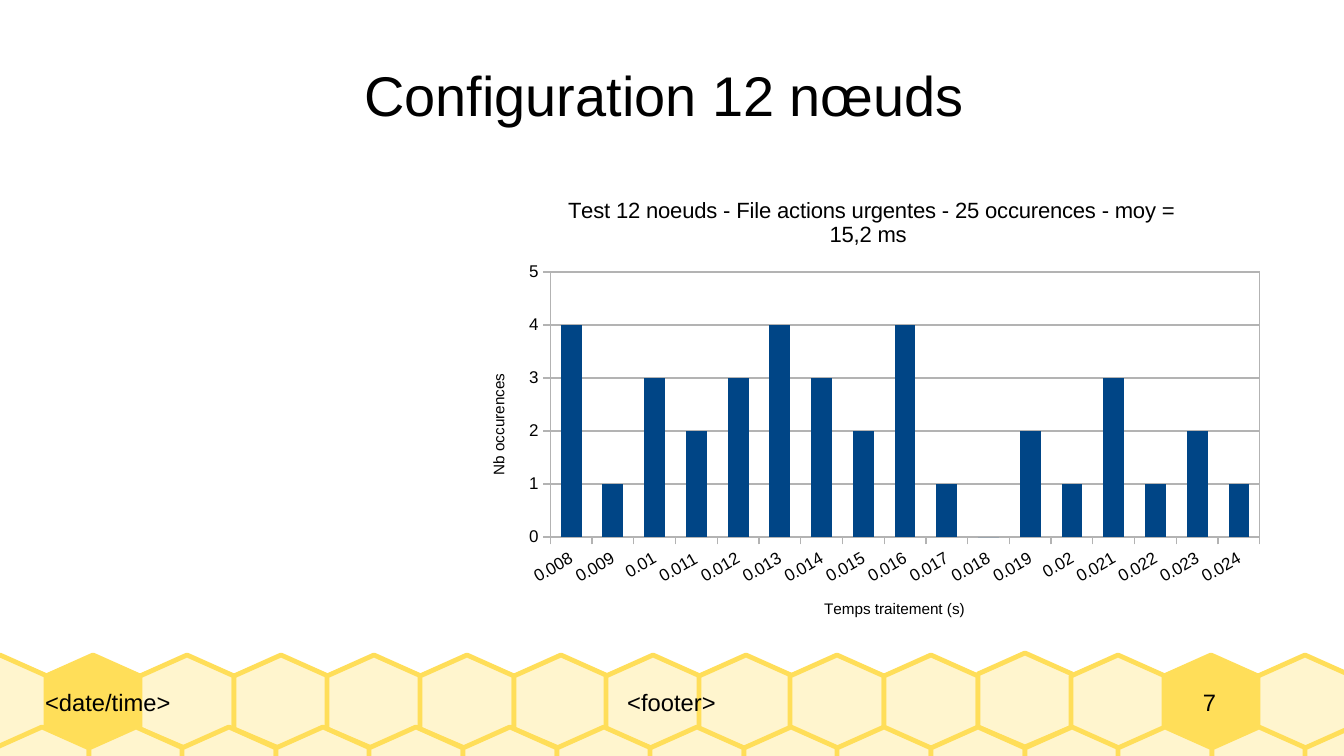
from lxml import etree
from pptx import Presentation, util as u
from pptx.chart.data import CategoryChartData
from pptx.dml.color import RGBColor
from pptx.enum import chart as ch, text
from pptx.oxml import parse_xml

PX = 914400 // 122
COL = {"ink": "000000", "white": "FFFFFF", "grid": "B3B3B3",
       "bar": "004586", "gold": "FFDE59", "cream": "FFF5CE"}
FONT = "Arial"


def rgb(name):
    return RGBColor.from_string(COL[name])


def write(frame, words, size, align=None):
    para = frame.paragraphs[0]
    para.alignment = align
    run = para.add_run()
    run.text = words
    run.font.name, run.font.size, run.font.bold = FONT, u.Pt(size), False
    run.font.color.rgb = rgb("ink")


prs = Presentation()
prs.slide_width, prs.slide_height = 1344 * PX, 756 * PX
slide = prs.slides.add_slide(prs.slide_layouts[5])
mid = text.PP_ALIGN.CENTER

# Honeycomb: two rows, the lower one shifted by half a cell
cells = []
for i in range(15):
    left = round(-47 + 93.5 * i) - 2 * (i > 6) - 2 * (i > 8)
    cells.append((left, 653 if i == 11 else 655, "gold" if i in (1, 13) else "cream"))
for i in range(15):
    cells.append((round(-5 + 93.6 * i), 727, "cream"))
for x, y, fill in cells:
    pen = slide.shapes.build_freeform(x + 47, y, scale=PX)
    pen.add_line_segments([(x, y + 21), (x, y + 74), (x + 47, y + 94),
                           (x + 94, y + 74), (x + 94, y + 21)], close=True)
    cell = pen.convert_to_shape()
    cell.shadow.inherit = False
    cell.fill.solid()
    cell.fill.fore_color.rgb = rgb(fill)
    cell.line.color.rgb = rgb("gold")
    cell.line.width = u.Pt(2.83)

# Footer texts
for x, w, words, align in [(45, 321, "<date/time>", text.PP_ALIGN.LEFT),
                           (366, 611, "<footer>", mid), (1133, 153, "7", mid)]:
    box = slide.shapes.add_textbox(x * PX, 655 * PX, w * PX, 94 * PX)
    frame = box.text_frame
    frame.word_wrap = True
    frame.vertical_anchor = text.MSO_ANCHOR.MIDDLE
    frame.margin_left = frame.margin_right = frame.margin_top = frame.margin_bottom = 0
    write(frame, words, 14, align)

# Title
title = slide.shapes.title
title.left, title.top, title.width, title.height = 67 * PX, 31 * PX, 1210 * PX, 127 * PX
frame = title.text_frame
frame.vertical_anchor = text.MSO_ANCHOR.MIDDLE
frame.margin_left = frame.margin_right = frame.margin_top = frame.margin_bottom = 0
write(frame, "Configuration 12 nœuds ", 33, mid)

# Chart
data = CategoryChartData()
data.categories = [f"{n / 1000:g}" for n in range(8, 25)]
data.add_series("Series 1", [4, 1, 3, 2, 3, 4, 3, 2, 4, 1, 0, 2, 1, 3, 1, 2, 1])
chart = slide.shapes.add_chart(ch.XL_CHART_TYPE.COLUMN_CLUSTERED, 465 * PX, 177 * PX,
                               812 * PX, 466 * PX, data).chart
chart.has_legend = False
chart.font.name, chart.font.size = FONT, u.Pt(10)
chart.font.color.rgb = rgb("ink")
chart.has_title = True
write(chart.chart_title.text_frame,
      "Test 12 noeuds - File actions urgentes - 25 occurences - moy = 15,2 ms ", 13)
chart.chart_title.include_in_layout = False

plot = chart.plots[0]
plot.gap_width = 100
plot.vary_by_categories = False
bars = plot.series[0].format.fill
bars.solid()
bars.fore_color.rgb = rgb("bar")

# Axes
val = chart.value_axis
val.minimum_scale, val.maximum_scale, val.major_unit = 0, 5, 1
val.has_major_gridlines = True
lines = [val.major_gridlines.format.line]
for axis, words in [(chart.category_axis, "Temps traitement (s)"), (val, "Nb occurences")]:
    axis.major_tick_mark = ch.XL_TICK_MARK.OUTSIDE
    axis.tick_labels.font.size = u.Pt(10)
    write(axis.axis_title.text_frame, words, 9)
    lines.append(axis.format.line)
for line in lines:
    line.color.rgb = rgb("grid")
    line.width = 0

# Slanted labels, fixed plot area and its frame
NS = "http://schemas.openxmlformats.org/drawingml/2006/"
chart.category_axis._element.find(f"{{{NS}chart}}txPr")[0].set("rot", "-1800000")
area = chart._chartSpace.chart.plotArea
for old in area.findall(f"{{{NS}chart}}layout"):
    area.remove(old)
layout = parse_xml(f'<c:layout xmlns:c="{NS}chart"><c:manualLayout/></c:layout>')
for tag, value in [("layoutTarget", "inner"), ("xMode", "edge"), ("yMode", "edge"),
                   ("x", 0.105), ("y", 0.204), ("w", 0.874), ("h", 0.569)]:
    etree.SubElement(layout[0], f"{{{NS}chart}}{tag}").set("val", str(value))
area.insert(0, layout)
area.append(parse_xml(
    f'<c:spPr xmlns:c="{NS}chart" xmlns:a="{NS}main"><a:noFill/><a:ln w="0"><a:solidFill>'
    f'<a:srgbClr val="{COL["grid"]}"/></a:solidFill></a:ln></c:spPr>'))

prs.save("out.pptx")
